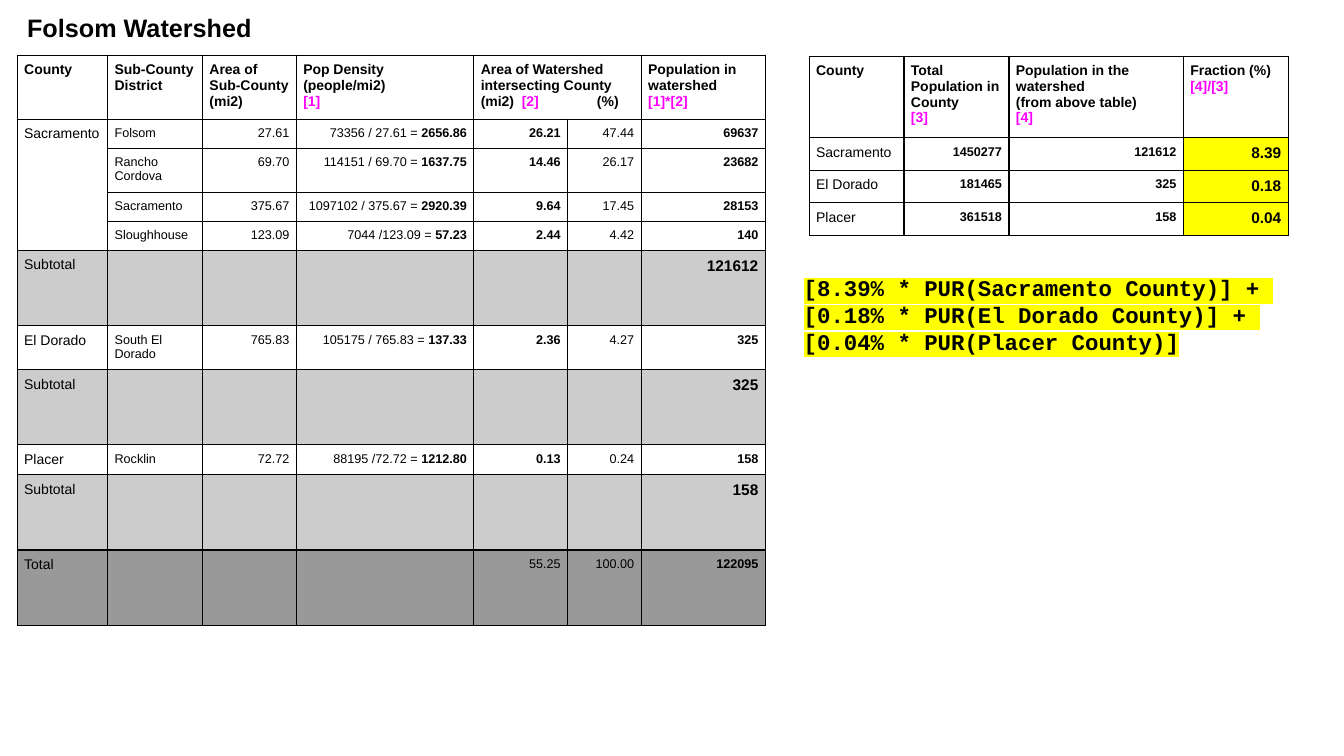
from dataclasses import dataclass

from lxml.etree import SubElement
from pptx import Presentation
from pptx.dml.color import RGBColor as RGB
from pptx.enum.text import MSO_ANCHOR as ANCHOR, PP_ALIGN as ALIGN
from pptx.oxml import parse_xml
from pptx.oxml.ns import nsdecls, qn
from pptx.util import Pt


@dataclass(frozen=True)
class Theme:
    black: str = "000000"
    magenta: str = "FF00FF"
    yellow: str = "FFFF00"
    light_gray: str = "CCCCCC"
    dark_gray: str = "999999"
    sans: str = "Arial"
    mono: str = "Courier New"
    title: int = 18
    formula: int = 16
    result: int = 11
    label: int = 10
    value: int = 9
    inset: int = 5
    border: int = 1


T = Theme()


def run(text, size=T.value, bold=False, color=T.black, font=T.sans, highlight=None):
    return dict(text=text, size=size, bold=bold, color=color, font=font, highlight=highlight)


def heading(text, ref=None):
    """Bold header paragraphs, with an optional magenta reference below."""
    paras = [[run(line, T.label, True)] for line in text.split("\n")]
    if ref:
        paras.append([run(ref, T.label, True, T.magenta)])
    return paras


def single(text, *args):
    return [[run(text, *args)]]


def add_run(p, text, size, bold, color, font, highlight):
    r = p.add_run()
    r.text = text
    r.font.size, r.font.bold = Pt(size), bold
    r.font.color.rgb = RGB.from_string(color)
    if highlight:
        hl = SubElement(r.font._element, qn("a:highlight"))
        SubElement(hl, qn("a:srgbClr"), val=highlight)
    r.font.name = font


class SlideBuilder:
    def __init__(self, slide):
        self.slide = slide

    def add_paragraphs(self, tf, paras, align=ALIGN.LEFT, tabs=()):
        for i, runs in enumerate(paras):
            p = tf.add_paragraph() if i else tf.paragraphs[0]
            if tabs and any("\t" in r["text"] for r in runs):
                tab_list = SubElement(p._p.get_or_add_pPr(), qn("a:tabLst"))
                for pos in tabs:
                    SubElement(tab_list, qn("a:tab"), pos=str(Pt(pos)), algn="l")
            p.alignment = align
            for r in runs:
                add_run(p, **r)

    def text(self, x, y, w, h, paras, anchor=ANCHOR.TOP):
        tf = self.slide.shapes.add_textbox(Pt(x), Pt(y), Pt(w), Pt(h)).text_frame
        tf.word_wrap = True
        tf.vertical_anchor = anchor
        self.add_paragraphs(tf, paras)

    def cell(self, cell, paras, fill, align, tabs):
        cell.margin_left = cell.margin_right = Pt(T.inset)
        cell.margin_top = cell.margin_bottom = Pt(T.inset)
        if fill:
            cell.fill.solid()
            cell.fill.fore_color.rgb = RGB.from_string(fill)
        else:
            cell.fill.background()
        for i, side in enumerate("LRTB"):
            cell._tc.tcPr.insert(i, parse_xml(
                f'<a:ln{side} {nsdecls("a")} w="{Pt(T.border)}"><a:solidFill>'
                f'<a:srgbClr val="{T.black}"/></a:solidFill></a:ln{side}>'))
        if paras:
            self.add_paragraphs(cell.text_frame, paras, align, tabs)
        else:
            SubElement(cell.text_frame.paragraphs[0]._p, qn("a:endParaRPr"), sz=str(T.value * 100))

    def table(self, x, y, widths, heights, rows, fill_of, text_cols, merges=(), tabs=()):
        """fill_of(row, col) gives a cell's colour; the first text_cols columns align left."""
        table = self.slide.shapes.add_table(
            len(heights), len(widths), Pt(x), Pt(y), Pt(sum(widths)), Pt(sum(heights))).table
        table.first_row = table.horz_banding = False
        for col, width in zip(table.columns, widths):
            col.width = Pt(width)
        for row, height in zip(table.rows, heights):
            row.height = Pt(height)
        for (r1, c1), (r2, c2) in merges:
            table.cell(r1, c1).merge(table.cell(r2, c2))
        for i, row in enumerate(rows):
            for j, paras in enumerate(row):
                align = ALIGN.LEFT if i == 0 or j < text_cols else ALIGN.RIGHT
                self.cell(table.cell(i, j), paras, fill_of(i, j), align, tabs)


def district(county, name, area, population, density, watershed, percent, result):
    return [
        single(county, T.label) if county else None,
        single(name),
        single(area),
        [[run(f"{population} = "), run(density, bold=True)]],
        single(watershed, T.value, True),
        single(percent),
        single(result, T.value, True),
    ]


def subtotal(result):
    return [single("Subtotal", T.label)] + [None] * 5 + [single(result, T.result, True)]


def summary(county, total, in_watershed, fraction):
    return [single(county, T.label), single(total, T.value, True),
            single(in_watershed, T.value, True), single(fraction, T.result, True)]


WATERSHED_HEADING = heading("Area of Watershed intersecting County") + [[
    run("(mi2)\t", T.label, True),
    run("[2]", T.label, True, T.magenta),
    run("\t(%)", T.label, True),
]]

DISTRICT_ROWS = [
    [heading("County"), heading("Sub-County District"), heading("Area of Sub-County (mi2)"),
     heading("Pop Density (people/mi2)", "[1]"), WATERSHED_HEADING, None,
     heading("Population in watershed", "[1]*[2]")],
    district("Sacramento", "Folsom", "27.61", "73356 / 27.61", "2656.86", "26.21", "47.44", "69637"),
    district("", "Rancho Cordova", "69.70", "114151 / 69.70", "1637.75", "14.46", "26.17", "23682"),
    district("", "Sacramento", "375.67", "1097102 / 375.67", "2920.39", "9.64", "17.45", "28153"),
    district("", "Sloughhouse", "123.09", "7044 /123.09", "57.23", "2.44", "4.42", "140"),
    subtotal("121612"),
    district("El Dorado", "South El Dorado", "765.83", "105175 / 765.83", "137.33", "2.36", "4.27", "325"),
    subtotal("325"),
    district("Placer", "Rocklin", "72.72", "88195 /72.72", "1212.80", "0.13", "0.24", "158"),
    subtotal("158"),
    [single("Total", T.label), None, None, None, single("55.25"), single("100.00"),
     single("122095", T.value, True)],
]

SUMMARY_ROWS = [
    [heading("County"), heading("Total Population in County", "[3]"),
     heading("Population in the watershed\n(from above table)", "[4]"),
     heading("Fraction (%)", "[4]/[3]")],
    summary("Sacramento", "1450277", "121612", "8.39"),
    summary("El Dorado", "181465", "325", "0.18"),
    summary("Placer", "361518", "158", "0.04"),
]

FORMULA = ["[8.39% * PUR(Sacramento County)] + ",
           "[0.18% * PUR(El Dorado County)] + ",
           "[0.04% * PUR(Placer County)]"]


def main():
    prs = Presentation()
    prs.slide_width, prs.slide_height = Pt(960), Pt(540)
    s = SlideBuilder(prs.slides.add_slide(prs.slide_layouts[6]))

    one_line, two_lines, band = 20.8, 31.3, 53.8
    row_fills = {5: T.light_gray, 7: T.light_gray, 9: T.light_gray, 10: T.dark_gray}
    s.table(12.3, 39.5, [64.6, 67.8, 67, 126.8, 67, 52.6, 88.7],
            [45.7, one_line, two_lines, one_line, one_line, band, two_lines, band, 21.4, band, band],
            DISTRICT_ROWS, lambda i, j: row_fills.get(i), text_cols=2,
            merges=[((0, 4), (0, 5)), ((1, 0), (4, 0))], tabs=(29.3, 83))
    s.text(12.3, 5, 252.7, 29, single("Folsom Watershed", T.title, True), ANCHOR.MIDDLE)
    s.text(567, 192.5, 381, 65.5,
           [[run(line, T.formula, True, font=T.mono, highlight=T.yellow)] for line in FORMULA])
    s.table(578, 40.2, [67.7, 75, 124.6, 75], [57.9] + [23.3] * 3, SUMMARY_ROWS,
            lambda i, j: T.yellow if i and j == 3 else None, text_cols=1)
    prs.save("out.pptx")


if __name__ == "__main__":
    main()
